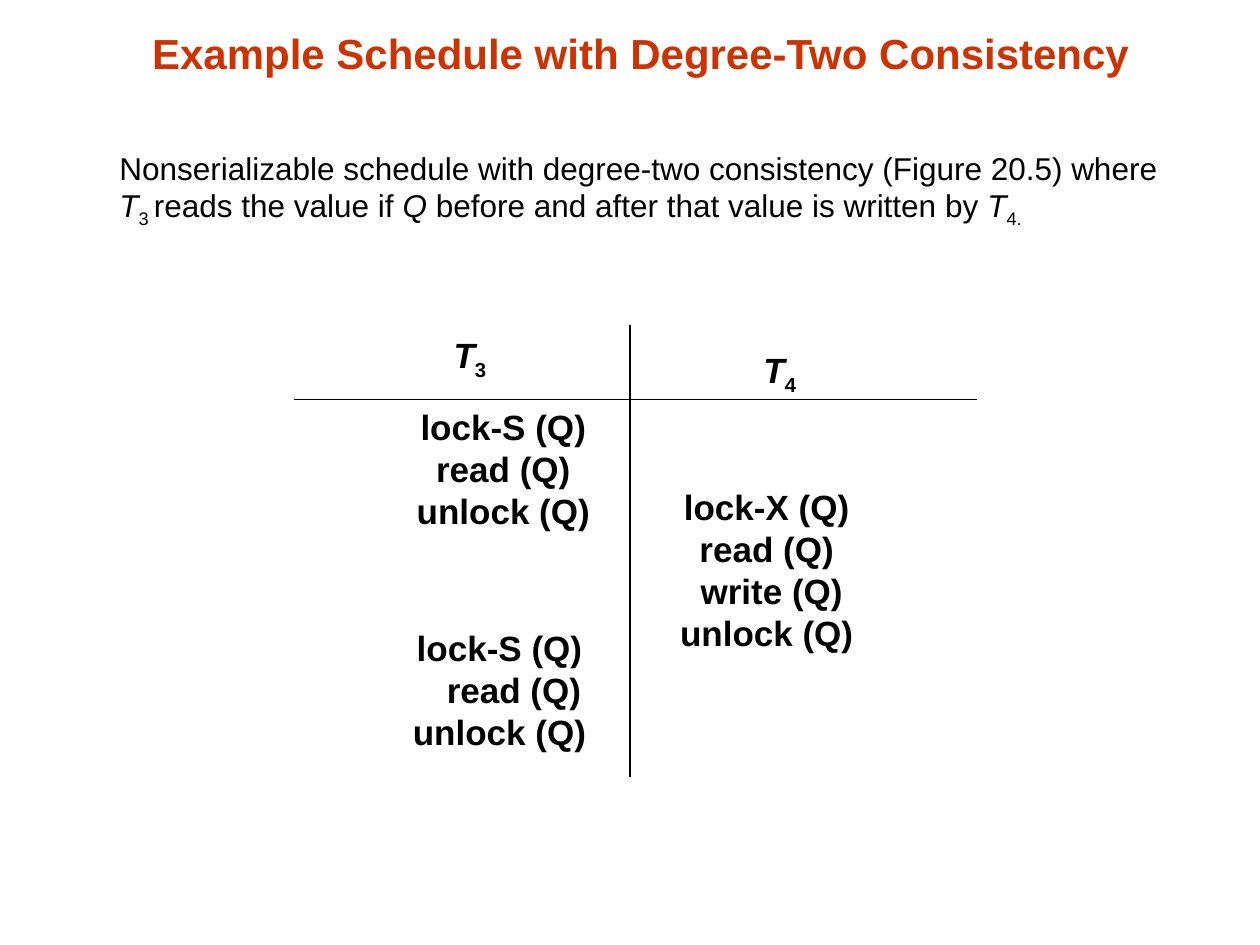
import pptx
import pptx.util
import pptx.dml.color
import pptx.enum.shapes
import pptx.enum.text
import lxml.etree

Inches = pptx.util.Inches
Pt = pptx.util.Pt
Align = pptx.enum.text.PP_ALIGN
RED = pptx.dml.color.RGBColor(0xCC, 0x33, 0x00)
BLACK = pptx.dml.color.RGBColor(0, 0, 0)

deck = pptx.Presentation()
deck.slide_width, deck.slide_height = Inches(10), Inches(7.5)
slide = deck.slides.add_slide(deck.slide_layouts[5])


def style(run, size, color=BLACK, bold=False, italic=False, sub=False):
    font = run.font
    font.name, font.size, font.bold, font.italic = "Arial", Pt(size), bold, italic
    font.color.rgb = color
    if sub:
        font._element.set("baseline", "-25000")


def add_box(left, top, width, height, wrap=False):
    box = slide.shapes.add_textbox(Inches(left), Inches(top), Inches(width), Inches(height))
    box.text_frame.word_wrap = wrap
    return box.text_frame


title = slide.shapes.title
title.left, title.top = Inches(0.25), Inches(-0.08)
title.width, title.height = Inches(9.67), Inches(0.75)
frame = title.text_frame
frame.text = "Example Schedule with Degree-Two Consistency"
frame.vertical_anchor = pptx.enum.text.MSO_ANCHOR.BOTTOM
frame.paragraphs[0].alignment = Align.CENTER
style(frame.paragraphs[0].runs[0], 24, RED, bold=True)

intro = add_box(0.47, 1.13, 8.93, 1.17, wrap=True).paragraphs[0]
intro._p.get_or_add_pPr().set("marL", str(Inches(0.38)))
for text, kind in [
    ("Nonserializable schedule with degree-two consistency (Figure 20.5) where ", ""),
    ("T", "italic"),
    ("3 ", "sub"),
    ("reads the value if ", ""),
    ("Q", "italic"),
    (" before and after that value is written by ", ""),
    ("T", "italic"),
    ("4.", "sub"),
]:
    run = intro.add_run()
    run.text = text
    style(run, 18, italic=kind == "italic", sub=kind == "sub")

for left, top, digit in [(3.5, 2.6, "3"), (5.96, 2.72, "4")]:
    head = add_box(left, top, 0.46, 0.48).paragraphs[0]
    head.alignment = Align.CENTER
    for text in ("T", digit):
        run = head.add_run()
        run.text = text
        style(run, 20, bold=True, italic=text == "T", sub=text == digit)

for ends in [(2.33, 3.17, 7.75, 3.17), (5, 2.58, 5, 6.17)]:
    rule = slide.shapes.add_connector(
        pptx.enum.shapes.MSO_CONNECTOR.STRAIGHT, *[Inches(end) for end in ends])
    rule.line.color.rgb = BLACK
    rule.line.width = Pt(0.75)
    lxml.etree.SubElement(
        rule._element.spPr, "{http://schemas.openxmlformats.org/drawingml/2006/main}effectLst")

for left, top, steps in [
    (3.16, 3.17, [("lock-S (Q)", 0), ("read (Q)", 0), ("unlock (Q)", 0)]),
    (3.13, 4.92, [("lock-S (Q)", 0), ("read (Q)", 0.23), ("unlock (Q)", 0)]),
    (5.25, 3.8, [("lock-X (Q)", 0), ("read (Q)", 0), ("write (Q)", 0.08), ("unlock (Q)", 0)]),
]:
    frame = add_box(left, top, 1.67, 0.1 + len(steps) / 3)
    frame.text = "\n".join(text for text, _ in steps)
    for line, (_, indent) in zip(frame.paragraphs, steps):
        line.alignment = Align.CENTER
        line._p.get_or_add_pPr().set("marL", str(Inches(indent)))
        style(line.runs[0], 20, bold=True)

deck.save("out.pptx")
